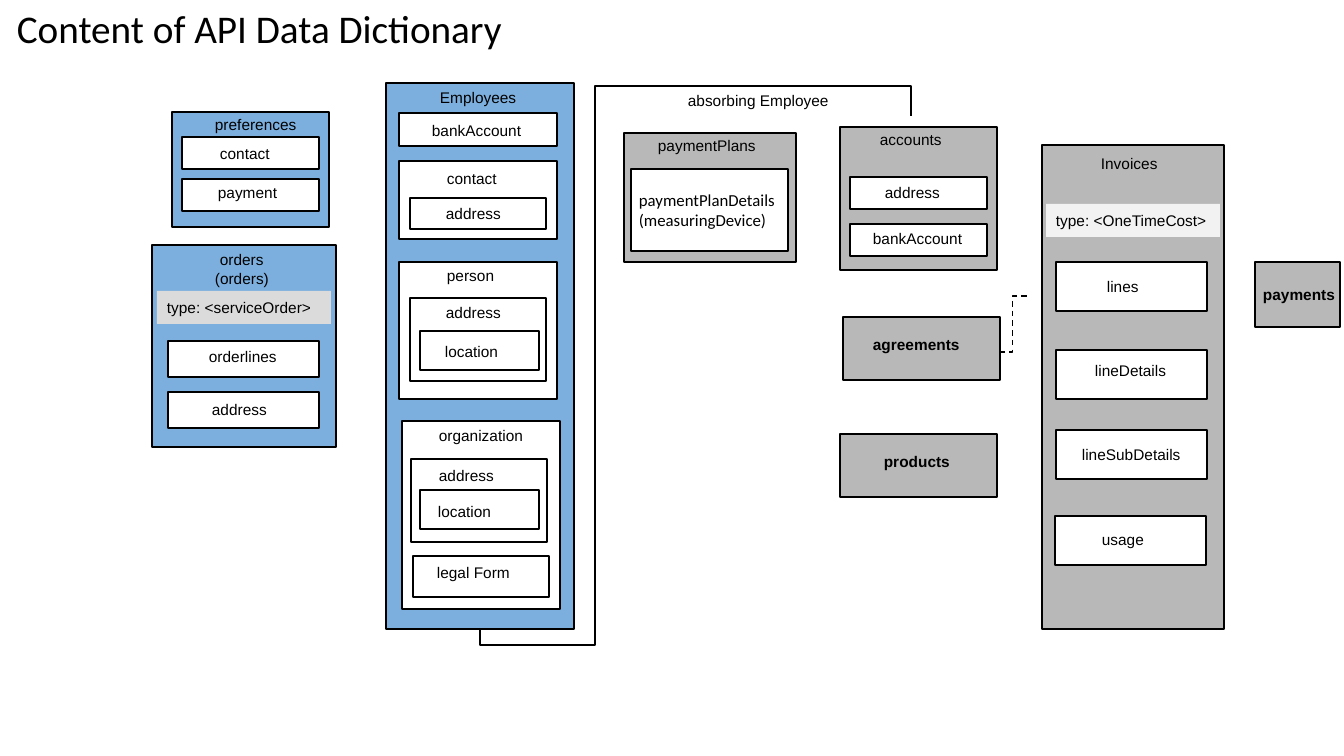
import pptx
import pptx.dml.color
import pptx.enum.dml
import pptx.enum.shapes
import pptx.enum.text
import pptx.util
from dataclasses import dataclass
from lxml import etree


@dataclass(frozen=True)
class Theme:
    ink: str = "000000"
    paper: str = "FFFFFF"
    blue: str = "7CAFDE"
    gray: str = "B8B8B8"
    order_tag: str = "DBDBDB"
    invoice_tag: str = "F2F2F2"
    sans: str = "Arial"
    heading: str = "Calibri"
    title_size: int = 28
    detail_size: int = 12
    label_size: int = 11
    thick: float = 1.5
    thin: float = 1


THEME = Theme()
LABEL_HEIGHT = 29
EMU_PER_PX = 914400 / 100.8


def px(length):
    return pptx.util.Emu(round(length * EMU_PER_PX))


def rgb(value):
    return pptx.dml.color.RGBColor.from_string(value)


class Diagram:
    def __init__(self, deck, theme):
        self.theme = theme
        self.page = deck.slides.add_slide(deck.slide_layouts[6])

    def add_lines(self, frame, lines, size, font, bold=False):
        for index, line in enumerate(lines):
            para = frame.paragraphs[0] if index == 0 else frame.add_paragraph()
            para.alignment = pptx.enum.text.PP_ALIGN.LEFT
            span = para.add_run()
            span.text = line
            span.font.size = pptx.util.Pt(size)
            span.font.name = font
            span.font.bold = bold
            span.font.color.rgb = rgb(self.theme.ink)

    def box(self, rect, fill, weight=None):
        box = self.page.shapes.add_shape(
            pptx.enum.shapes.MSO_SHAPE.RECTANGLE, *map(px, rect))
        box.shadow.inherit = False
        box.fill.solid()
        box.fill.fore_color.rgb = rgb(fill)
        if weight:
            box.line.color.rgb = rgb(self.theme.ink)
            box.line.width = pptx.util.Pt(weight)
        else:
            box.line.fill.background()
        return box

    def tag(self, rect, text, fill):
        frame = self.box(rect, fill).text_frame
        frame.word_wrap = True
        frame.vertical_anchor = pptx.enum.text.MSO_ANCHOR.MIDDLE
        self.add_lines(frame, [text], self.theme.label_size, self.theme.sans)

    def label(self, text, place, bold=False):
        left, top, width = place
        box = self.page.shapes.add_textbox(
            *map(px, (left, top, width, LABEL_HEIGHT)))
        frame = box.text_frame
        frame.word_wrap = False
        frame.auto_size = pptx.enum.text.MSO_AUTO_SIZE.SHAPE_TO_FIT_TEXT
        self.add_lines(frame, [text], self.theme.label_size, self.theme.sans,
                       bold)

    def block(self, rect, lines, size, anchor):
        frame = self.page.shapes.add_textbox(*map(px, rect)).text_frame
        frame.word_wrap = True
        frame.vertical_anchor = anchor
        self.add_lines(frame, lines, size, self.theme.heading)

    def elbow(self, begin, end, weight, upright=False, bends=(), dash=None):
        """Draw an elbow; upright starts it vertically, bends are in 1/1000 %."""
        if upright:
            # Turn the end points back about their centre, then rotate the shape
            mid_x, mid_y = (begin[0] + end[0]) / 2, (begin[1] + end[1]) / 2
            begin, end = [(mid_x + y - mid_y, mid_y - x + mid_x)
                          for x, y in (begin, end)]
        link = self.page.shapes.add_connector(
            pptx.enum.shapes.MSO_CONNECTOR.ELBOW, *map(px, (*begin, *end)))
        link.line.color.rgb = rgb(self.theme.ink)
        link.line.width = pptx.util.Pt(weight)
        if dash:
            link.line.dash_style = dash
        look = link._element.spPr
        ns = "{" + look.nsmap["a"] + "}"
        if upright:
            look.find(ns + "xfrm").set("rot", "5400000")
        if bends:
            outline = look.find(ns + "prstGeom")
            outline.set("prst", f"bentConnector{len(bends) + 2}")
            guides = outline.find(ns + "avLst")
            for number, bend in enumerate(bends, 1):
                etree.SubElement(guides, ns + "gd",
                                 name=f"adj{number}", fmla=f"val {bend}")
        etree.SubElement(look, ns + "effectLst")

    def entity(self, fill, rect, labels, parts=(), tag=None, bold=False):
        self.box(rect, fill, self.theme.thick)
        for text, place in labels:
            self.label(text, place, bold)
        if tag:
            self.tag(*tag)
        for part_rect, text, place in parts:
            self.box(part_rect, self.theme.paper, self.theme.thin)
            if text:
                self.label(text, place)


# Each entity: fill, frame, labels (left, top, width), inner boxes, type tag
ENTITIES = [
    dict(fill=THEME.blue, rect=(172, 112, 157, 115),
         labels=[("preferences", (205, 110, 103))],
         parts=[((182, 137, 137, 32), "contact", (210, 139, 71)),
                ((182, 179, 137, 32), "payment", (208, 178, 80))]),
    dict(fill=THEME.blue, rect=(152, 245, 184, 202),
         labels=[("orders", (210, 245, 65)), ("(orders)", (205, 264, 75))],
         tag=((157, 291, 174, 33), "type: <serviceOrder>", THEME.order_tag),
         parts=[((168, 341, 151, 36), "orderlines", (199, 342, 89)),
                ((168, 392, 151, 36), "address", (202, 395, 76))]),
    dict(fill=THEME.blue, rect=(386, 83, 188, 546),
         labels=[("Employees", (430, 83, 98))],
         parts=[((399, 113, 158, 33), "bankAccount", (422, 116, 110)),
                ((399, 161, 158, 78), "contact", (437, 164, 71)),
                ((410, 198, 136, 31), "address", (436, 199, 76)),
                ((399, 262, 158, 137), "person", (437, 261, 68)),
                ((410, 298, 136, 83), "address", (436, 298, 76)),
                ((420, 331, 119, 39), "location", (435, 337, 74)),
                ((402, 421, 158, 188), "organization", (429, 421, 105)),
                ((411, 459, 136, 83), "address", (429, 461, 76)),
                ((420, 490, 119, 39), "location", (428, 497, 74)),
                ((413, 556, 136, 41), "legal Form", (427, 558, 94))]),
    dict(fill=THEME.gray, rect=(624, 133, 172, 129),
         labels=[("paymentPlans", (648, 131, 119))],
         parts=[((631, 169, 157, 82), None, None)]),
    dict(fill=THEME.gray, rect=(840, 127, 157, 143),
         labels=[("accounts", (870, 125, 83))],
         parts=[((850, 177, 137, 32), "address", (875, 178, 76)),
                ((850, 224, 137, 32), "bankAccount", (863, 224, 110))]),
    dict(fill=THEME.gray, rect=(843, 317, 157, 63), bold=True,
         labels=[("agreements", (863, 330, 108))]),
    dict(fill=THEME.gray, rect=(840, 434, 157, 63), bold=True,
         labels=[("products", (874, 447, 87))]),
    dict(fill=THEME.gray, rect=(1042, 145, 182, 484),
         labels=[("Invoices", (1091, 149, 78))],
         tag=((1046, 204, 174, 33), "type: <OneTimeCost>", THEME.invoice_tag),
         parts=[((1056, 262, 151, 49), "lines", (1097, 272, 52)),
                ((1056, 350, 151, 49), "lineDetails", (1085, 356, 93)),
                ((1056, 430, 151, 49), "lineSubDetails", (1072, 440, 120)),
                ((1055, 516, 151, 49), "usage", (1092, 525, 62))]),
    dict(fill=THEME.gray, rect=(1255, 262, 85, 65), bold=True,
         labels=[("payments", (1253, 280, 93))]),
]


def main():
    deck = pptx.Presentation()
    deck.slide_width, deck.slide_height = px(1344), px(756)
    diagram = Diagram(deck, THEME)
    anchor = pptx.enum.text.MSO_ANCHOR

    # Link from Employees to accounts, behind everything
    diagram.elbow((480, 620), (911, 116), THEME.thick, upright=True,
                  bends=(-5000, 26700, 105900))

    # Title
    diagram.block((7, -13, 710, 81), ["Content of API Data Dictionary"],
                  THEME.title_size, anchor.MIDDLE)

    # Entities
    for entity in ENTITIES:
        diagram.entity(**entity)
    diagram.block((629, 185, 164, 50),
                  ["paymentPlanDetails", "(measuringDevice)"],
                  THEME.detail_size, anchor.TOP)

    # Link from Invoices to agreements, and the label of the first link
    diagram.elbow((1027, 296), (998, 352), THEME.thin,
                  dash=pptx.enum.dml.MSO_LINE.DASH)
    diagram.label("absorbing Employee", (678, 86, 162))

    deck.save("out.pptx")


if __name__ == "__main__":
    main()
